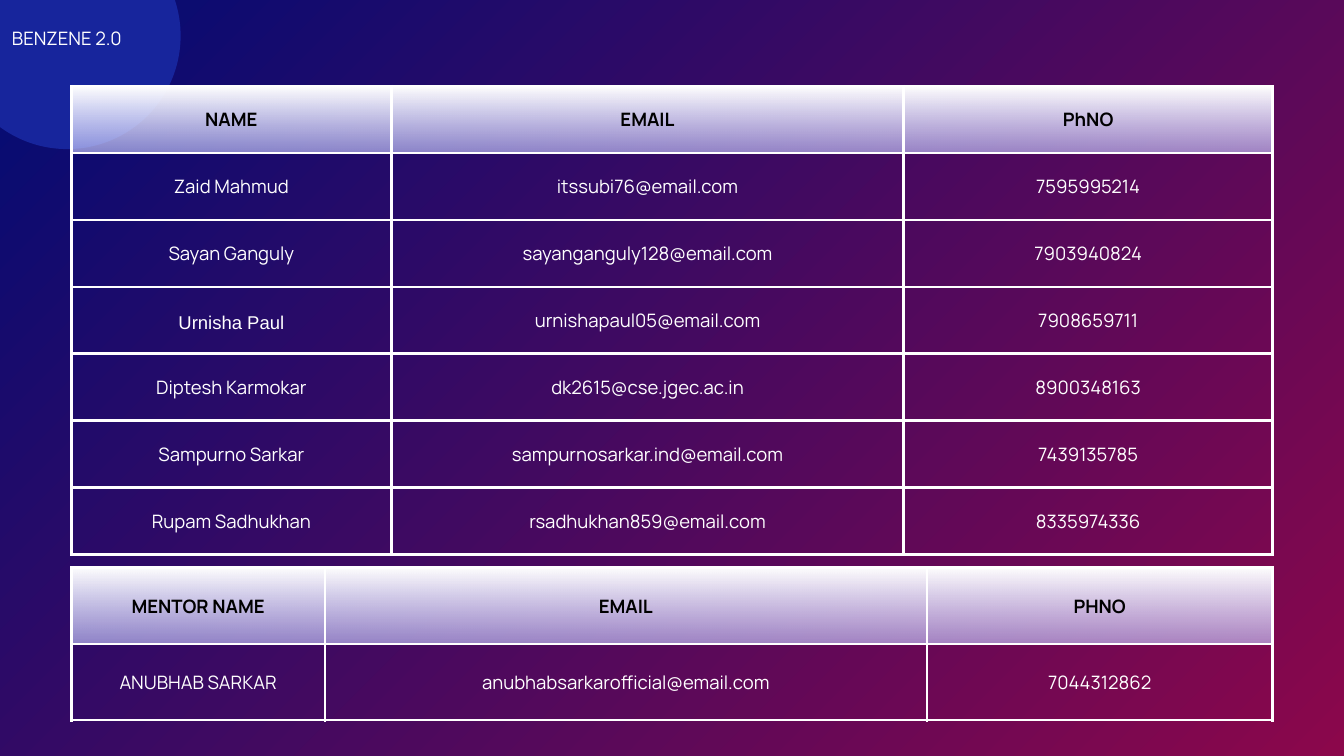
from dataclasses import dataclass

import lxml.etree
import pptx
import pptx.dml.color
import pptx.enum.shapes
import pptx.enum.text
import pptx.oxml.ns
import pptx.util

EMU_PER_PX = 9525  # 96 px to the inch


@dataclass(frozen=True)
class Theme:
    navy: str = "000C74"
    wine: str = "8B074B"
    blue: str = "17259C"
    lilac: str = "C7C9FF"
    white: str = "FFFFFF"
    black: str = "000000"
    font: str = "Manrope"
    fallback_font: str = "Arial"
    text_pt: float = 19.8
    badge_line_pt: float = 17.6
    table_line_pt: float = 27.7
    border_pt: int = 3
    lilac_opacity: int = 64


@dataclass(frozen=True)
class ContactTable:
    left: int
    top: int
    height: int
    columns: tuple[int, ...]
    rows: tuple[tuple[str, ...], ...]


THEME = Theme()

MEMBERS = ContactTable(102, 123, 669, (457, 732, 527), (
    ("NAME", "EMAIL", "PhNO"),
    ("Zaid Mahmud", "itssubi76@email.com", "7595995214"),
    ("Sayan Ganguly", "sayanganguly128@email.com", "7903940824"),
    ("Urnisha Paul", "urnishapaul05@email.com", "7908659711"),
    ("Diptesh Karmokar", "dk2615@cse.jgec.ac.in", "8900348163"),
    ("Sampurno Sarkar", "sampurnosarkar.ind@email.com", "7439135785"),
    ("Rupam Sadhukhan", "rsadhukhan859@email.com", "8335974336"),
))
MENTORS = ContactTable(102, 811, 218, (362, 860, 494), (
    ("MENTOR NAME", "EMAIL", "PHNO"),
    ("ANUBHAB SARKAR", "anubhabsarkarofficial@email.com", "7044312862"),
))
FALLBACK_NAMES = {"Urnisha Paul"}


def px(length: float) -> int:
    return round(length * EMU_PER_PX)


def rgb(color: str) -> pptx.dml.color.RGBColor:
    return pptx.dml.color.RGBColor.from_string(color)


def apply(target, values: dict) -> None:
    for name, value in values.items():
        setattr(target, name, value)


def fill_gradient(fill, colors: tuple[str, str], angle: int) -> None:
    fill.gradient()
    fill.gradient_angle = angle
    for stop, color, position in zip(fill.gradient_stops, colors, (0, 1)):
        stop.color.rgb = rgb(color)
        stop.position = position


def write(frame, text: str, line_pt: float, color: str,
          bold: bool = False, font: str = THEME.font) -> None:
    paragraph = frame.paragraphs[0]
    apply(paragraph, {
        "alignment": pptx.enum.text.PP_ALIGN.CENTER,
        "line_spacing": pptx.util.Pt(line_pt),
    })
    run = paragraph.add_run()
    run.text = text
    apply(run.font, {"name": font, "size": pptx.util.Pt(THEME.text_pt), "bold": bold})
    run.font.color.rgb = rgb(color)


def add_borders(cell) -> None:
    qn = pptx.oxml.ns.qn
    properties = cell._tc.get_or_add_tcPr()
    # Border lines come before the fill in the cell properties
    for index, side in enumerate(("lnL", "lnR", "lnT", "lnB")):
        line = lxml.etree.Element(qn(f"a:{side}"), w=str(pptx.util.Pt(THEME.border_pt)))
        solid = lxml.etree.SubElement(line, qn("a:solidFill"))
        lxml.etree.SubElement(solid, qn("a:srgbClr"), val=THEME.white)
        properties.insert(index, line)


def fill_header(cell) -> None:
    qn = pptx.oxml.ns.qn
    fill_gradient(cell.fill, (THEME.white, THEME.lilac), 270)
    lilac = list(cell._tc.tcPr.iter(qn("a:srgbClr")))[-1]
    lxml.etree.SubElement(lilac, qn("a:alpha"), val=str(THEME.lilac_opacity * 1000))


def draw_contacts(slide, contacts: ContactTable) -> None:
    table = slide.shapes.add_table(
        len(contacts.rows), len(contacts.columns), px(contacts.left), px(contacts.top),
        px(sum(contacts.columns)), px(contacts.height)).table
    apply(table, {"first_row": False, "horz_banding": False})
    for column, width in zip(table.columns, contacts.columns):
        column.width = px(width)
    for row in table.rows:
        row.height = px(contacts.height / len(contacts.rows))

    cell_format = {
        "vertical_anchor": pptx.enum.text.MSO_ANCHOR.MIDDLE,
        **{f"margin_{side}": px(20) for side in ("left", "right", "top", "bottom")},
    }
    for row_index, row_texts in enumerate(contacts.rows):
        is_header = row_index == 0
        for column_index, text in enumerate(row_texts):
            cell = table.cell(row_index, column_index)
            apply(cell, cell_format)
            if is_header:
                fill_header(cell)
            else:
                cell.fill.background()
            add_borders(cell)
            write(cell.text_frame, text, THEME.table_line_pt,
                  THEME.black if is_header else THEME.white, is_header,
                  THEME.fallback_font if text in FALLBACK_NAMES else THEME.font)


def draw_badge(slide) -> None:
    badge = slide.shapes.add_group_shape()
    circle = badge.shapes.add_shape(
        pptx.enum.shapes.MSO_SHAPE.OVAL, px(-66), px(-111), px(324), px(324))
    circle.shadow.inherit = False
    circle.fill.solid()
    circle.fill.fore_color.rgb = rgb(THEME.blue)
    circle.line.fill.background()

    team = badge.shapes.add_textbox(px(-36), px(-66), px(263), px(248)).text_frame
    apply(team, {
        "word_wrap": True,
        "vertical_anchor": pptx.enum.text.MSO_ANCHOR.MIDDLE,
        **{f"margin_{side}": px(6) for side in ("left", "right", "top", "bottom")},
    })
    write(team, "BENZENE 2.0", THEME.badge_line_pt, THEME.white)


def main() -> None:
    deck = pptx.Presentation()
    apply(deck, {"slide_width": px(1920), "slide_height": px(1080)})
    slide = deck.slides.add_slide(deck.slide_layouts[6])

    # Diagonal background, from top left to bottom right
    fill_gradient(slide.background.fill, (THEME.navy, THEME.wine), 315)

    # Team badge in the corner
    draw_badge(slide)

    # Team members, then the mentor
    for contacts in (MEMBERS, MENTORS):
        draw_contacts(slide, contacts)

    deck.save("out.pptx")


if __name__ == "__main__":
    main()
